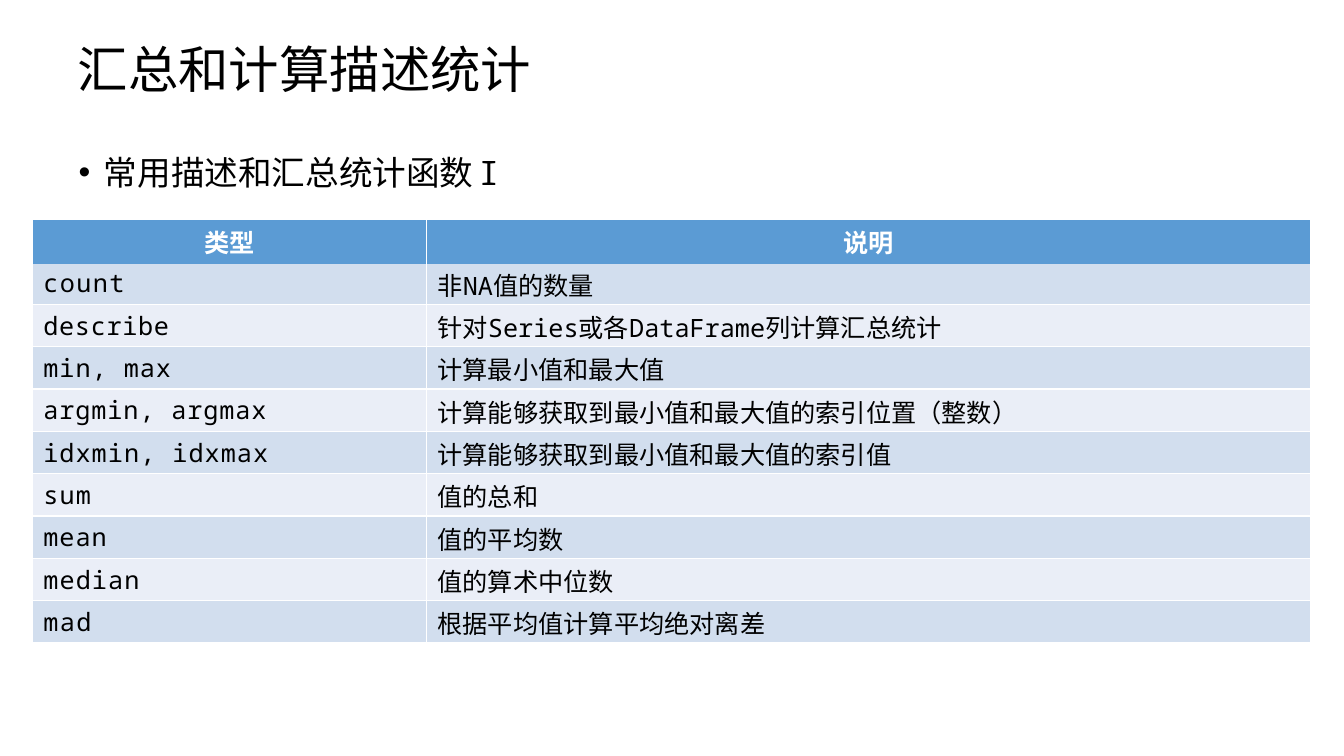
from lxml import etree
from pptx import Presentation
from pptx.dml.color import RGBColor
from pptx.enum import text
from pptx.oxml import ns
from pptx.util import Inches, Pt

WHITE = RGBColor(0xFF, 0xFF, 0xFF)
BLACK = RGBColor(0, 0, 0)
BLUE = RGBColor(0x5B, 0x9B, 0xD4)
BANDS = RGBColor(0xD2, 0xDE, 0xEE), RGBColor(0xEA, 0xEE, 0xF7)
MONO, SANS = "Noto Sans Mono", "Noto Sans CJK SC"

HEAD = "类型", "说明"
ROWS = [
    ("count", 1, "非NA值的数量"),
    ("describe", 0.5, "针对Series或各DataFrame列计算汇总统计"),
    ("min, max", 0.7, "计算最小值和最大值"),
    ("argmin, argmax", 0.65, "计算能够获取到最小值和最大值的索引位置（整数）"),
    ("idxmin, idxmax", 0.75, "计算能够获取到最小值和最大值的索引值"),
    ("sum", 0.8, "值的总和"),
    ("mean", 0.7, "值的平均数"),
    ("median", 0.8, "值的算术中位数"),
    ("mad", 1, "根据平均值计算平均绝对离差"),
]


def add(parent, tag, **attrs):
    """Append a DrawingML element to parent."""
    node = etree.SubElement(parent, ns.qn("a:" + tag))
    for key, value in attrs.items():
        node.set(key, str(value))
    return node


def style(para, size, name=MONO, color=BLACK, bold=False):
    """Set the font of a whole paragraph."""
    font = para.font
    font.size, font.name, font.bold = Pt(size), name, bold
    font.color.rgb = color
    add(para._p.pPr.find(ns.qn("a:defRPr")), "ea", typeface=SANS)


def place(holder, box, words):
    """Move a placeholder to box, fill it and return its paragraph."""
    holder.left, holder.top, holder.width, holder.height = map(Inches, box)
    frame = holder.text_frame
    frame.margin_left = frame.margin_right = frame.margin_bottom = 0
    frame.margin_top = Inches(0.01)
    frame.vertical_anchor = text.MSO_ANCHOR.TOP
    frame.auto_size = text.MSO_AUTO_SIZE.NONE
    frame.word_wrap = True
    para = frame.paragraphs[0]
    para.add_run().text = words
    para.alignment = text.PP_ALIGN.LEFT
    para.line_spacing = 0.9
    para.space_before = Pt(0)
    return para


def title(slide, box):
    """Write the slide title."""
    style(place(slide.shapes.title, box, "汇总和计算描述统计"), 36)


def bullet(slide, box):
    """Write the bulleted line above the table."""
    para = place(slide.placeholders[1], box, "常用描述和汇总统计函数\tI")
    props = para._p.get_or_add_pPr()
    props.set("marL", str(Inches(0.26)))
    props.set("indent", str(Inches(-0.25)))
    add(props, "buFont", typeface="Arial")
    add(props, "buChar", char="•")
    tabs = add(props, "tabLst")
    for stop in (0.26, 4.13):
        add(tabs, "tab", pos=Inches(stop), algn="l")
    style(para, 24)


def border(cell, bare):
    """Draw white cell borders, leaving the bare side empty."""
    props = cell._tc.get_or_add_tcPr()
    for spot, side in enumerate(("lnL", "lnR", "lnT", "lnB")):
        line = etree.Element(ns.qn("a:" + side), w=str(Pt(1)))
        if side == bare:
            add(line, "noFill")
        else:
            add(add(line, "solidFill"), "srgbClr", val=WHITE)
        props.insert(spot, line)


def write(cell, words, fill, top=0.04, bare=None, gap=0):
    """Fill one cell and return its paragraph."""
    cell.fill.solid()
    cell.fill.fore_color.rgb = fill
    border(cell, bare)
    cell.margin_left = cell.margin_right = cell.margin_bottom = 0
    cell.margin_top = Inches(top)
    para = cell.text_frame.paragraphs[0]
    run = para.add_run()
    run.text = words
    if gap:
        run._r.get_or_add_rPr().set("spc", str(round(gap * 100)))
    return para


def table(slide, box):
    """Build the banded table of functions."""
    shape = slide.shapes.add_table(len(ROWS) + 1, 2, *map(Inches, box))
    grid = shape.table
    for col, width in zip(grid.columns, (3.91, box[2] - 3.91)):
        col.width = Inches(width)
    for num, row in enumerate(grid.rows):
        row.height = Inches({0: 0.44, 1: 0.4}.get(num, 0.42))
    for col, words in enumerate(HEAD):
        para = write(grid.cell(0, col), words, BLUE, bare="lnB")
        para.alignment = text.PP_ALIGN.CENTER
        style(para, 18, SANS, WHITE, True)
    for num, (name, gap, note) in enumerate(ROWS, 1):
        top, bare = (0.02, "lnT") if num == 1 else (0.04, None)
        for col, (words, space) in enumerate(((name, gap), (note, 0))):
            cell = grid.cell(num, col)
            para = write(cell, words, BANDS[(num - 1) % 2], top, bare, space)
            cell.margin_left = Inches(0.11)
            style(para, 18)


def main():
    """Build and save the slide."""
    deck = Presentation()
    deck.slide_width, deck.slide_height = Inches(13.33), Inches(7.5)
    slide = deck.slides.add_slide(deck.slide_layouts[1])
    title(slide, (0.77, 0.44, 4.53, 0.63))
    bullet(slide, (0.77, 1.54, 4.24, 0.43))
    table(slide, (0.32, 2.18, 12.68, 4.2))
    deck.save("out.pptx")


if __name__ == "__main__":
    main()
